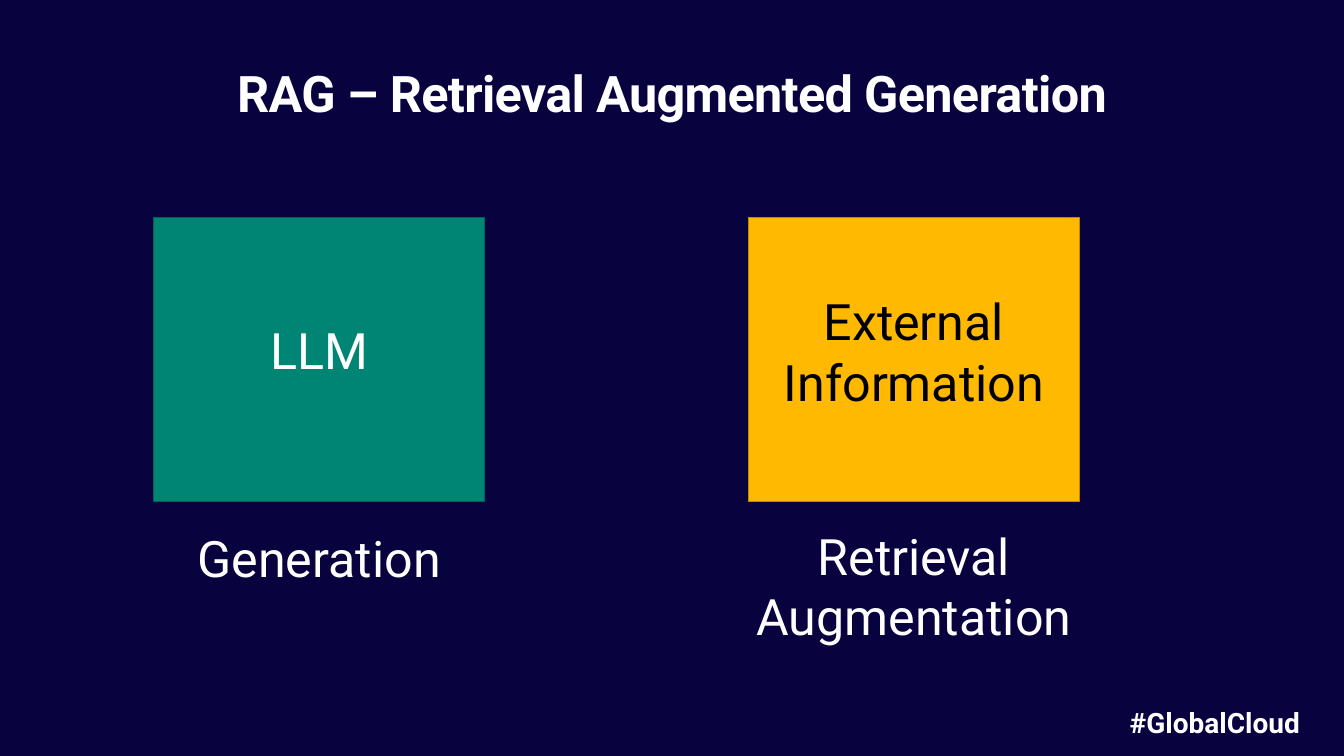
from dataclasses import dataclass

from pptx import Presentation
from pptx.dml.color import RGBColor
from pptx.enum.shapes import MSO_SHAPE
from pptx.enum.text import MSO_ANCHOR, PP_ALIGN
from pptx.util import Inches, Pt


@dataclass(frozen=True)
class Theme:
    font: str = "Roboto"
    background: str = "08023F"
    light: str = "FFFFFF"
    dark: str = "000000"
    green: str = "008575"
    green_line: str = "006257"
    yellow: str = "FFB900"
    yellow_line: str = "BD8900"
    title_size: float = 43.2
    body_size: float = 43
    tag_size: float = 24
    line_width: float = 0.85


class SlideBuilder:
    def __init__(self, slide, theme):
        self.slide = slide
        self.theme = theme
        fill = slide.background.fill
        fill.solid()
        fill.fore_color.rgb = RGBColor.from_string(theme.background)

    def set_text(self, sp, lines, insets=(0, 0, 0, 0), color=None, size=None,
                 bold=False, align=PP_ALIGN.CENTER, anchor=MSO_ANCHOR.TOP,
                 para_format=None, tracking=None):
        """Fill a shape with one paragraph per line; insets are left, top, right, bottom."""
        t = self.theme
        tf = sp.text_frame
        frame_format = {"word_wrap": True, "vertical_anchor": anchor}
        for side, inset in zip(("left", "top", "right", "bottom"), insets):
            frame_format[f"margin_{side}"] = Inches(inset)
        for name, value in frame_format.items():
            setattr(tf, name, value)
        font_format = {"name": t.font, "size": Pt(size or t.body_size), "bold": bold}
        for i, line in enumerate(lines):
            p = tf.add_paragraph() if i else tf.paragraphs[0]
            for name, value in {"alignment": align, **(para_format or {})}.items():
                setattr(p, name, value)
            r = p.add_run()
            r.text = line
            for name, value in font_format.items():
                setattr(r.font, name, value)
            r.font.color.rgb = RGBColor.from_string(color or t.light)
            if tracking:
                r._r.get_or_add_rPr().set("spc", str(tracking))

    def text(self, box, line, **style):
        sp = self.slide.shapes.add_textbox(*map(Inches, box))
        self.set_text(sp, [line], **style)

    def block(self, box, fill, line):
        sp = self.slide.shapes.add_shape(MSO_SHAPE.RECTANGLE, *map(Inches, box))
        sp.shadow.inherit = False
        sp.fill.solid()
        sp.fill.fore_color.rgb = RGBColor.from_string(fill)
        sp.line.color.rgb = RGBColor.from_string(line)
        sp.line.width = Pt(self.theme.line_width)
        return sp


def main():
    prs = Presentation()
    prs.slide_width, prs.slide_height = Inches(16), Inches(9)
    theme = Theme()
    s = SlideBuilder(prs.slides.add_slide(prs.slide_layouts[6]), theme)

    s.text((13.35, 8.35, 2.5, 0.5), "#GlobalCloud", size=theme.tag_size, bold=True,
           align=PP_ALIGN.LEFT, insets=(0.1, 0.05, 0.1, 0.05))
    s.text((1.54, 0.82, 12.92, 0.65), "RAG – Retrieval Augmented Generation",
           size=theme.title_size, bold=True, anchor=MSO_ANCHOR.BOTTOM, tracking=-60,
           para_format={"line_spacing": 0.9, "space_after": Pt(12)})

    left, right, top, width, height = 1.83, 8.91, 2.59, 3.94, 3.38
    s.block((left, top, width, height), theme.green, theme.green_line)
    external = s.block((right, top, width, height), theme.yellow, theme.yellow_line)
    s.set_text(external, ["External", "Information"], color=theme.dark,
               insets=(0.2, 0.87, 0.2, 0.16))
    s.text((2.61, 3.8, 2.38, 0.72), "LLM")
    s.text((left, 6.28, width, 0.72), "Generation")
    s.text((right, 6.25, width, 1.45), "Retrieval Augmentation")

    prs.save("out.pptx")


if __name__ == "__main__":
    main()
